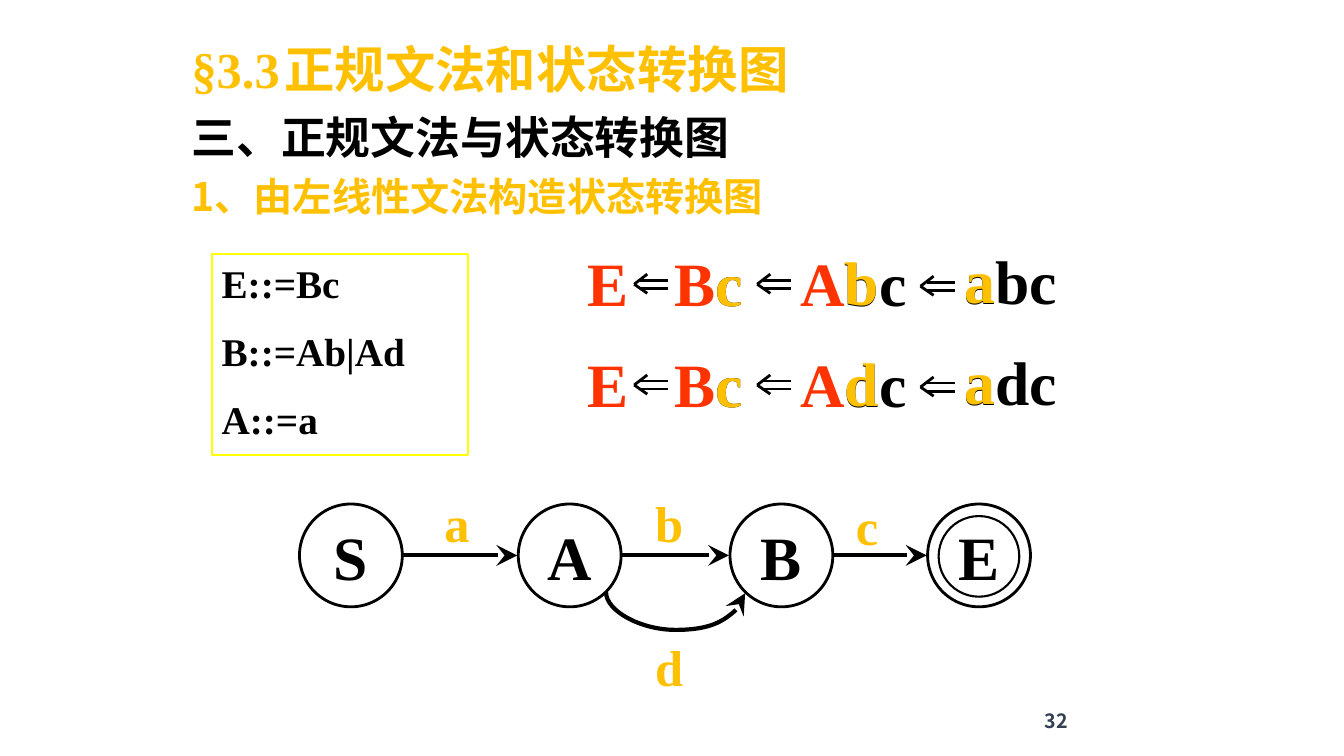
from dataclasses import dataclass

from lxml import etree
from pptx import Presentation
from pptx import util as u
from pptx.dml.color import RGBColor
from pptx.enum import shapes, text
from pptx.oxml import ns


@dataclass(frozen=True)
class Theme:
    black: str = "000000"
    amber: str = "FFC000"
    red: str = "FF3300"
    yellow: str = "FFFF00"
    slate: str = "333F50"
    serif: str = "Times New Roman"
    sans: str = "Noto Sans CJK SC"
    heading: int = 36
    subheading: int = 32
    body: int = 28
    symbol: int = 44
    label: int = 36
    number: int = 14


T = Theme()
STATE = 1.02


def style(r, size, color, font=T.serif):
    r.font.size, r.font.bold, r.font.name = u.Pt(size), True, font
    r.font.color.rgb = RGBColor.from_string(color)
    ea = etree.SubElement(r.font._element, ns.qn("a:ea"))
    ea.set("typeface", T.sans)


def add_runs(p, parts, size, font=T.serif):
    for content, color in parts:
        r = p.add_run()
        r.text = content
        style(r, size, color, font)


def add_label(s, x, y, w, h, parts, size):
    tf = s.shapes.add_textbox(*map(u.Inches, (x, y, w, h))).text_frame
    tf.word_wrap = True
    add_runs(tf.paragraphs[0], parts, size)
    return tf


def add_line(container, x1, y1, x2, y2, width, arrow=False,
             kind=shapes.MSO_CONNECTOR.STRAIGHT):
    c = container.add_connector(kind, *map(u.Inches, (x1, y1, x2, y2)))
    c.line.width = u.Pt(width)
    c.line.color.rgb = RGBColor.from_string(T.black)
    if arrow:
        tail = etree.SubElement(c.line._get_or_add_ln(), ns.qn("a:tailEnd"))
        tail.set("type", "stealth")
        tail.set("w", "lg")
        tail.set("len", "lg")
    etree.SubElement(c._element.spPr, ns.qn("a:effectLst"))
    return c


def add_outline(s, kind, x, y, w, h, color, width):
    sp = s.shapes.add_shape(kind, *map(u.Inches, (x, y, w, h)))
    sp.shadow.inherit = False
    sp.fill.background()
    sp.line.color.rgb = RGBColor.from_string(color)
    sp.line.width = u.Pt(width)
    return sp


def add_headings(s, x, y, w, h):
    title = s.shapes.title
    title.left, title.top, title.width, title.height = map(u.Inches, (x, y, w, h))
    tf = title.text_frame
    tf.text = "§3.3\t正规文法和状态转换图\n三、正规文法与状态转换图\n1、由左线性文法构造状态转换图"
    tf.word_wrap = True
    tf.auto_size = text.MSO_AUTO_SIZE.NONE
    tf.vertical_anchor = text.MSO_ANCHOR.TOP
    looks = ((T.heading, T.amber, T.serif), (T.subheading, T.black, T.serif),
             (T.body, T.amber, T.sans))
    for p, look in zip(tf.paragraphs, looks):
        pPr = p._p.get_or_add_pPr()
        pPr.set("marL", str(u.Inches(0.46)))
        pPr.set("indent", str(u.Inches(-0.42)))
        tabs = etree.SubElement(pPr, ns.qn("a:tabLst"))
        etree.SubElement(tabs, ns.qn("a:tab"), pos=str(u.Inches(1.53)), algn="l")
        p.alignment = text.PP_ALIGN.LEFT
        p.line_spacing = 1.2
        p.space_before = u.Pt(0)
        for r in p.runs:
            style(r, *look)


def add_grammar(s, x, y, w, h):
    sp = add_outline(s, shapes.MSO_SHAPE.RECTANGLE, x, y, w, h, T.yellow, 1.5)
    tf = sp.text_frame
    tf.text = "E::=Bc\nB::=Ab|Ad\nA::=a"
    tf.vertical_anchor = text.MSO_ANCHOR.TOP
    for i, p in enumerate(tf.paragraphs):
        p.alignment = text.PP_ALIGN.LEFT
        if i:
            p.space_before = u.Pt(15)
        for r in p.runs:
            style(r, T.body, T.black)


def add_implied_by(s, x, y):
    g = s.shapes.add_group_shape().shapes
    for x1, y1, x2, y2 in ((0.13, 0, 0, 0.1), (0, 0.1, 0.13, 0.19),
                           (0.06, 0.06, 0.34, 0.06), (0.06, 0.14, 0.34, 0.14)):
        add_line(g, x + x1, y + y1, x + x2, y + y2, 2)


def add_derivation(s, x, y, middle):
    terms = (
        (0, 0, 0.55, (("E", T.red),)),
        (0.86, 0, 1.16, (("B", T.red), ("c", T.black))),
        (1.27, 0, 0.49, (("c", T.amber),)),
        (2.11, 0, 1.73, (("A", T.red), (middle + "c", T.black))),
        (2.55, -0.01, 0.64, ((middle, T.amber),)),
        (3.74, -0.02, 1.2, (("a" + middle + "c", T.black),)),
        (3.74, -0.03, 0.94, (("a", T.amber),)),
    )
    for dx, dy, w, parts in terms:
        add_label(s, x + dx, y + dy, w, 0.83, parts, T.symbol)
    for dx, dy in ((0.56, 0.34), (1.78, 0.34), (3.4, 0.36)):
        add_implied_by(s, x + dx, y + dy)


def add_state(s, x, y, name):
    sp = add_outline(s, shapes.MSO_SHAPE.OVAL, x, y, STATE, STATE, T.black, 2)
    tf = sp.text_frame
    tf.word_wrap = False
    tf.vertical_anchor = text.MSO_ANCHOR.MIDDLE
    p = tf.paragraphs[0]
    p.alignment = text.PP_ALIGN.CENTER
    add_runs(p, ((name, T.black),), T.symbol)


def add_curve(s, x1, x2, y, depth):
    thin, span = 0.01, x2 - x1
    left, top = (x1 + x2 - thin) / 2, y - span / 2
    c = add_line(s.shapes, left, top, left + thin, top + span, 3, True,
                 shapes.MSO_CONNECTOR.CURVE)
    xfrm = c._element.spPr.find(ns.qn("a:xfrm"))
    xfrm.set("rot", "16200000")
    xfrm.set("flipH", "1")
    guides = c._element.spPr.find(ns.qn("a:prstGeom")).get_or_add_avLst()
    etree.SubElement(guides, ns.qn("a:gd"), name="adj1",
                     fmla=f"val {round(depth / thin * 100000)}")


def add_diagram(s, x, y):
    states = (("S", 0), ("A", 2.17), ("B", 4.27), ("E", 6.23))
    for name, dx in states:
        add_state(s, x + dx, y, name)
    add_outline(s, shapes.MSO_SHAPE.OVAL, x + 6.34, y + 0.12, 0.8, 0.8, T.black, 1.5)
    for (_, start), (_, end) in zip(states, states[1:]):
        add_line(s.shapes, x + start + STATE + 0.01, y + STATE / 2,
                 x + end - 0.01, y + STATE / 2, 3, True)
    add_curve(s, x + 3.04, x + 4.42, y + 0.88, 0.38)
    for name, dx, dy in (("a", 1.34, -0.17), ("b", 3.43, -0.17),
                         ("c", 5.42, -0.14), ("d", 3.43, 1.26)):
        add_label(s, x + dx, y + dy, 0.53, 0.7, ((name, T.amber),), T.label)


def add_number(s, x, y, w, h):
    tf = add_label(s, x, y, w, h, (), T.number)
    tf.vertical_anchor = text.MSO_ANCHOR.MIDDLE
    p = tf.paragraphs[0]
    p.alignment = text.PP_ALIGN.RIGHT
    add_runs(p, (("32", T.slate),), T.number, T.sans)


def main():
    prs = Presentation()
    prs.slide_width, prs.slide_height = u.Inches(13.33), u.Inches(7.5)
    s = prs.slides.add_slide(prs.slide_layouts[5])
    add_headings(s, 1.76, 0.21, 9.67, 1.62)
    add_grammar(s, 2.1, 2.52, 2.54, 1.99)
    for i, middle in enumerate("bd"):
        add_derivation(s, 5.73, 2.38 + i, middle)
    add_diagram(s, 2.97, 5)
    add_number(s, 9.38, 6.95, 1.31, 0.4)
    prs.save("out.pptx")


if __name__ == "__main__":
    main()
